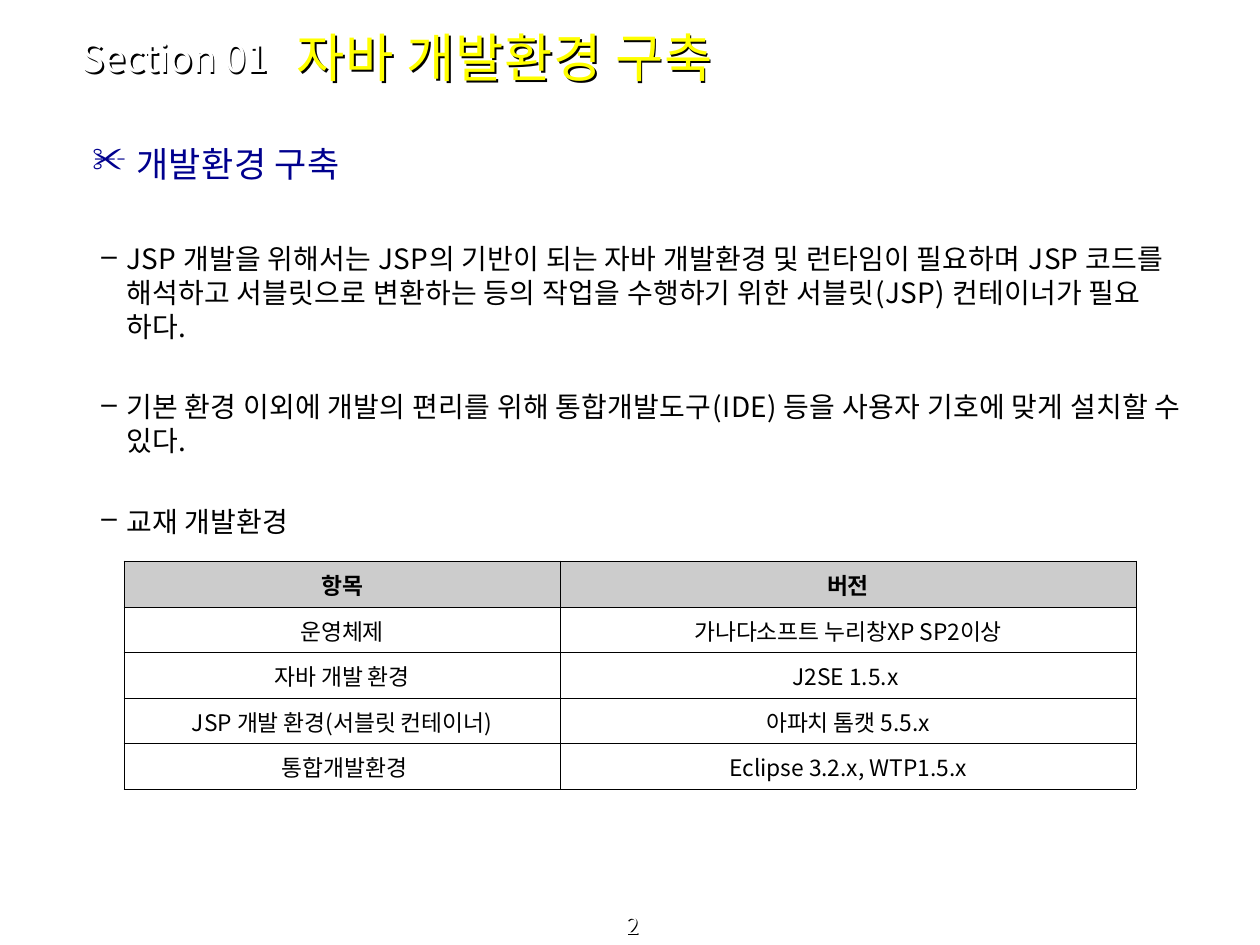
from pptx import Presentation
from pptx import util as u
from pptx.dml.color import RGBColor
from pptx.enum import text
from pptx.oxml import parse_xml
from pptx.oxml.ns import nsdecls, qn

SCALE = 914400 / 126
FONT = "Noto Sans CJK KR"
BLACK = RGBColor(0, 0, 0)
WHITE = RGBColor(255, 255, 255)
YELLOW = RGBColor(255, 255, 0)
NAVY = RGBColor(0, 0, 0x8E)
GRAY = RGBColor(0xCC, 0xCC, 0xCC)


def px(length):
    return u.Emu(round(length * SCALE))


def write(paragraph, content, size, color=BLACK, bold=False, align=text.PP_ALIGN.LEFT,
          tracking=0, bullet=None, margin=0, indent=0, before=0):
    properties = paragraph._p.get_or_add_pPr()
    if bullet:
        properties.set("marL", str(px(margin)))
        properties.set("indent", str(px(indent)))
        properties.append(parse_xml(f'<a:buChar {nsdecls("a")} char="{bullet}"/>'))
    paragraph.alignment = align
    paragraph.space_before = u.Pt(before)
    run = paragraph.add_run()
    run.text = content
    run.font.size = u.Pt(size)
    run.font.bold = bold
    run.font.color.rgb = color
    run.font.name = FONT
    run._r.rPr.set("spc", str(tracking))
    latin = run._r.rPr.find(qn("a:latin"))
    latin.addnext(parse_xml(f'<a:ea {nsdecls("a")} typeface="{FONT}"/>'))


presentation = Presentation()
presentation.slide_width = px(1260)
presentation.slide_height = px(945)
slide = presentation.slides.add_slide(presentation.slide_layouts[6])

labels = [
    (" 2", (0, 917, 1260, 28), 13, WHITE, 0, text.PP_ALIGN.CENTER, text.MSO_ANCHOR.BOTTOM),
    (" 자바 개발환경 구축", (272, 14, 818, 86), 30, YELLOW, 40, text.PP_ALIGN.LEFT, text.MSO_ANCHOR.MIDDLE),
    ("Section 01", (69, 34, 243, 47), 22, WHITE, 0, text.PP_ALIGN.LEFT, text.MSO_ANCHOR.MIDDLE),
]
for content, box, size, color, tracking, align, anchor in labels:
    shape = slide.shapes.add_textbox(*map(px, box))
    shape._element.spPr.append(parse_xml(
        f'<a:effectLst {nsdecls("a")}><a:outerShdw dist="17961" dir="2700000">'
        '<a:srgbClr val="000000"/></a:outerShdw></a:effectLst>'))
    frame = shape.text_frame
    frame.word_wrap = True
    frame.vertical_anchor = anchor
    write(frame.paragraphs[0], content, size, color, align=align, tracking=tracking)

body = slide.shapes.add_textbox(px(65), px(136), px(1134), px(624)).text_frame
body.word_wrap = True
write(body.paragraphs[0], "개발환경 구축", 20, NAVY, tracking=20, bullet="✂", margin=59, indent=-44)
points = [
    ("JSP 개발을 위해서는 JSP의 기반이 되는 자바 개발환경 및 런타임이 필요하며 JSP 코드를 해석하고 "
     "서블릿으로 변환하는 등의 작업을 수행하기 위한 서블릿(JSP) 컨테이너가 필요 하다.", 33),
    ("기본 환경 이외에 개발의 편리를 위해 통합개발도구(IDE) 등을 사용자 기호에 맞게 설치할 수 있다.", 27),
    ("교재 개발환경", 27),
]
for content, before in points:
    write(body.add_paragraph(), content, 16, tracking=20, bullet="–", margin=49, indent=-25,
          before=before)

rows = [
    ("항목", "버전"),
    ("운영체제", "가나다소프트 누리창XP SP2이상"),
    ("자바 개발 환경", "J2SE 1.5.x "),
    ("JSP 개발 환경(서블릿 컨테이너)", "아파치 톰캣 5.5.x"),
    (" 통합개발환경", "Eclipse 3.2.x, WTP1.5.x"),
]
table = slide.shapes.add_table(len(rows), 2, px(124), px(561), px(1012), px(228)).table
for column, width in zip(table.columns, (436, 576)):
    column.width = px(width)
for row_index, row in enumerate(rows):
    table.rows[row_index].height = px(46 - row_index % 2)
    for column_index, content in enumerate(row):
        cell = table.cell(row_index, column_index)
        cell.margin_top = px(7)
        cell.fill.solid()
        cell.fill.fore_color.rgb = GRAY if row_index == 0 else WHITE
        write(cell.text_frame.paragraphs[0], content, 13, bold=row_index == 0,
              align=text.PP_ALIGN.CENTER)
        for position, side in enumerate(("lnL", "lnR", "lnT", "lnB")):
            cell._tc.tcPr.insert(position, parse_xml(
                f'<a:{side} {nsdecls("a")} w="5715"><a:solidFill>'
                f'<a:srgbClr val="000000"/></a:solidFill></a:{side}>'))

presentation.save("out.pptx")
